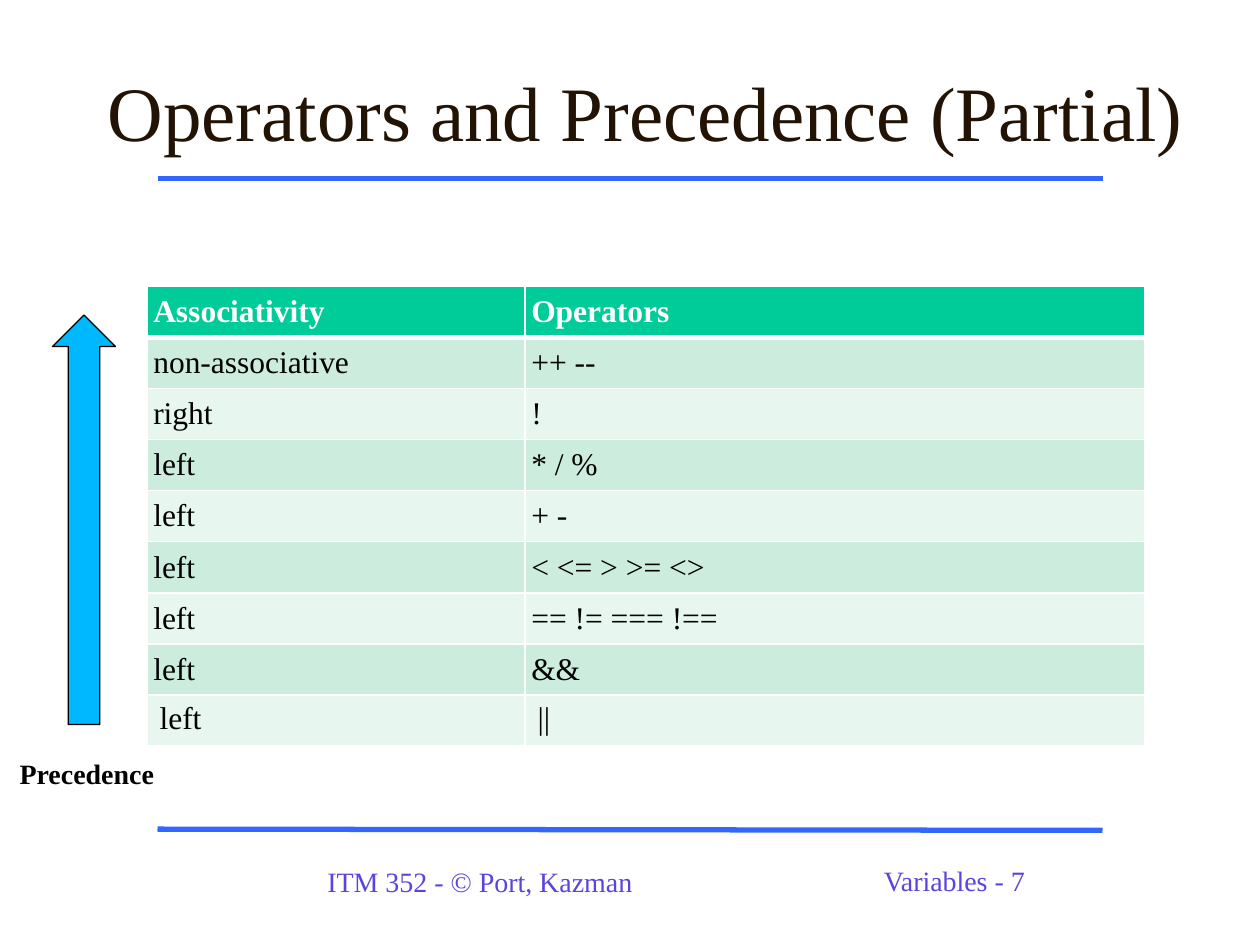
from dataclasses import dataclass
from typing import Any, NamedTuple

import lxml.etree
import pptx
import pptx.dml.color
import pptx.enum.shapes
import pptx.enum.text
import pptx.oxml.ns
import pptx.util

Pt = pptx.util.Pt
Anchor = pptx.enum.text.MSO_ANCHOR
Align = pptx.enum.text.PP_ALIGN
AutoSize = pptx.enum.text.MSO_AUTO_SIZE
qn = pptx.oxml.ns.qn


@dataclass(frozen=True)
class Theme:
    font: str = "Times New Roman"
    title: str = "221304"
    rule: str = "3366FF"
    footer: str = "5745DD"
    arrow: str = "00B8FF"
    header: str = "00CC99"
    bands: tuple[str, str] = ("CCECDE", "E7F6EF")
    black: str = "000000"
    white: str = "FFFFFF"
    title_size: float = 44
    table_size: float = 18
    label_size: float = 16


class Rule(NamedTuple):
    start_y: float
    end_y: float


class Label(NamedTuple):
    text: str
    left: float
    top: float
    width: float
    height: float
    format: dict[str, Any]
    wrap: bool = True


class Level(NamedTuple):
    associativity: str
    operators: str
    inset: float = 3.6
    anchor: Anchor = Anchor.MIDDLE


THEME = Theme()
RULES = [Rule(102.2, 102.2), Rule(473.8, 474.5)]
FOOTER = dict(size=THEME.label_size, color=THEME.footer, line_spacing=0.95, space_before=10)
LABELS = [
    Label("ITM 352 - © Port, Kazman", 180, 492, 300, 26, FOOTER),
    Label("Variables - 7", 498, 491.5, 174, 25, FOOTER),
    Label("Precedence", 3.6, 429, 92, 26.6,
          dict(size=THEME.label_size, color=THEME.black, bold=True, align=Align.CENTER), False),
]
LEVELS = [
    Level("Associativity", "Operators"),
    Level("non-associative", "++ --"),
    Level("right", "!"),
    Level("left", "* / %"),
    Level("left", "+ - "),
    Level("left", "< <= > >= <>"),
    Level("left", "== != === !=="),
    Level("left", "&&"),
    Level("left", "||", 7.2, Anchor.TOP),
]
COLUMN_WIDTHS = (216, 354)
ROW_HEIGHT = 29.2


def rgb(color: str) -> pptx.dml.color.RGBColor:
    return pptx.dml.color.RGBColor.from_string(color)


def write(frame, text: str, *, size: float, color: str, bold: bool = False,
          align: Align = Align.LEFT, anchor: Anchor = Anchor.TOP, inset: float = 7.2,
          line_spacing: float = 1.0, space_before: float = 0) -> None:
    frame.margin_left = frame.margin_right = Pt(inset)
    frame.margin_top = frame.margin_bottom = Pt(3.6)
    frame.vertical_anchor = anchor
    paragraph = frame.paragraphs[0]
    paragraph.alignment = align
    paragraph.line_spacing = line_spacing
    paragraph.space_before = Pt(space_before)
    run = paragraph.add_run()
    run.text = text
    run.font.name = THEME.font
    run.font.size = Pt(size)
    run.font.bold = bold
    run.font.color.rgb = rgb(color)


def draw_rule(slide, rule: Rule) -> None:
    line = slide.shapes.add_connector(
        pptx.enum.shapes.MSO_CONNECTOR.STRAIGHT,
        Pt(90), Pt(rule.start_y), Pt(630), Pt(rule.end_y))
    line.line.color.rgb = rgb(THEME.rule)
    line.line.width = Pt(3)
    lxml.etree.SubElement(line._element.spPr, qn("a:effectLst"))


def draw_label(slide, label: Label) -> None:
    box = slide.shapes.add_textbox(
        Pt(label.left), Pt(label.top), Pt(label.width), Pt(label.height))
    box.text_frame.word_wrap = label.wrap
    box.text_frame.auto_size = AutoSize.SHAPE_TO_FIT_TEXT
    write(box.text_frame, label.text, **label.format)


def draw_borders(cell, top: float, bottom: float) -> None:
    properties = cell._tc.get_or_add_tcPr()
    for side, width in (("L", 1), ("R", 1), ("T", top), ("B", bottom)):
        border = lxml.etree.SubElement(properties, qn(f"a:ln{side}"), w=str(Pt(width)))
        fill = lxml.etree.SubElement(border, qn("a:solidFill"))
        lxml.etree.SubElement(fill, qn("a:srgbClr"), val=THEME.white)


def draw_precedence_table(slide) -> None:
    table = slide.shapes.add_table(
        len(LEVELS), len(COLUMN_WIDTHS), Pt(84), Pt(163.6),
        Pt(sum(COLUMN_WIDTHS)), Pt(ROW_HEIGHT * len(LEVELS))).table
    for column, width in zip(table.columns, COLUMN_WIDTHS):
        column.width = Pt(width)
    for index, level in enumerate(LEVELS):
        heading = index == 0
        table.rows[index].height = Pt(ROW_HEIGHT)
        for cell, text in zip(table.rows[index].cells, (level.associativity, level.operators)):
            draw_borders(cell, top=3 if index == 1 else 1, bottom=3 if heading else 1)
            cell.fill.solid()
            cell.fill.fore_color.rgb = rgb(THEME.header if heading else THEME.bands[(index - 1) % 2])
            cell.margin_left = cell.margin_right = Pt(level.inset)
            cell.margin_top = cell.margin_bottom = Pt(3.6)
            cell.vertical_anchor = level.anchor
            write(cell.text_frame, text, size=THEME.table_size, bold=heading,
                  color=THEME.white if heading else THEME.black,
                  inset=level.inset, anchor=level.anchor)


def draw_title(slide) -> None:
    title = slide.shapes.title
    title.left, title.top, title.width, title.height = Pt(54), Pt(18), Pt(630), Pt(90)
    title.text_frame.word_wrap = True
    title.text_frame.auto_size = AutoSize.NONE
    write(title.text_frame, "Operators and Precedence (Partial)", size=THEME.title_size,
          color=THEME.title, align=Align.CENTER, anchor=Anchor.MIDDLE)


def draw_precedence_arrow(slide) -> None:
    arrow = slide.shapes.add_shape(
        pptx.enum.shapes.MSO_SHAPE.UP_ARROW, Pt(30), Pt(180), Pt(36), Pt(234))
    arrow.shadow.inherit = False
    arrow.fill.solid()
    arrow.fill.fore_color.rgb = rgb(THEME.arrow)
    arrow.line.color.rgb = rgb(THEME.black)
    arrow.line.width = Pt(0.75)


deck = pptx.Presentation()
deck.slide_width, deck.slide_height = Pt(720), Pt(540)
slide = deck.slides.add_slide(deck.slide_layouts[5])
for rule in RULES:
    draw_rule(slide, rule)
draw_title(slide)
draw_precedence_table(slide)
for label in LABELS:
    draw_label(slide, label)
draw_precedence_arrow(slide)
deck.save("out.pptx")
